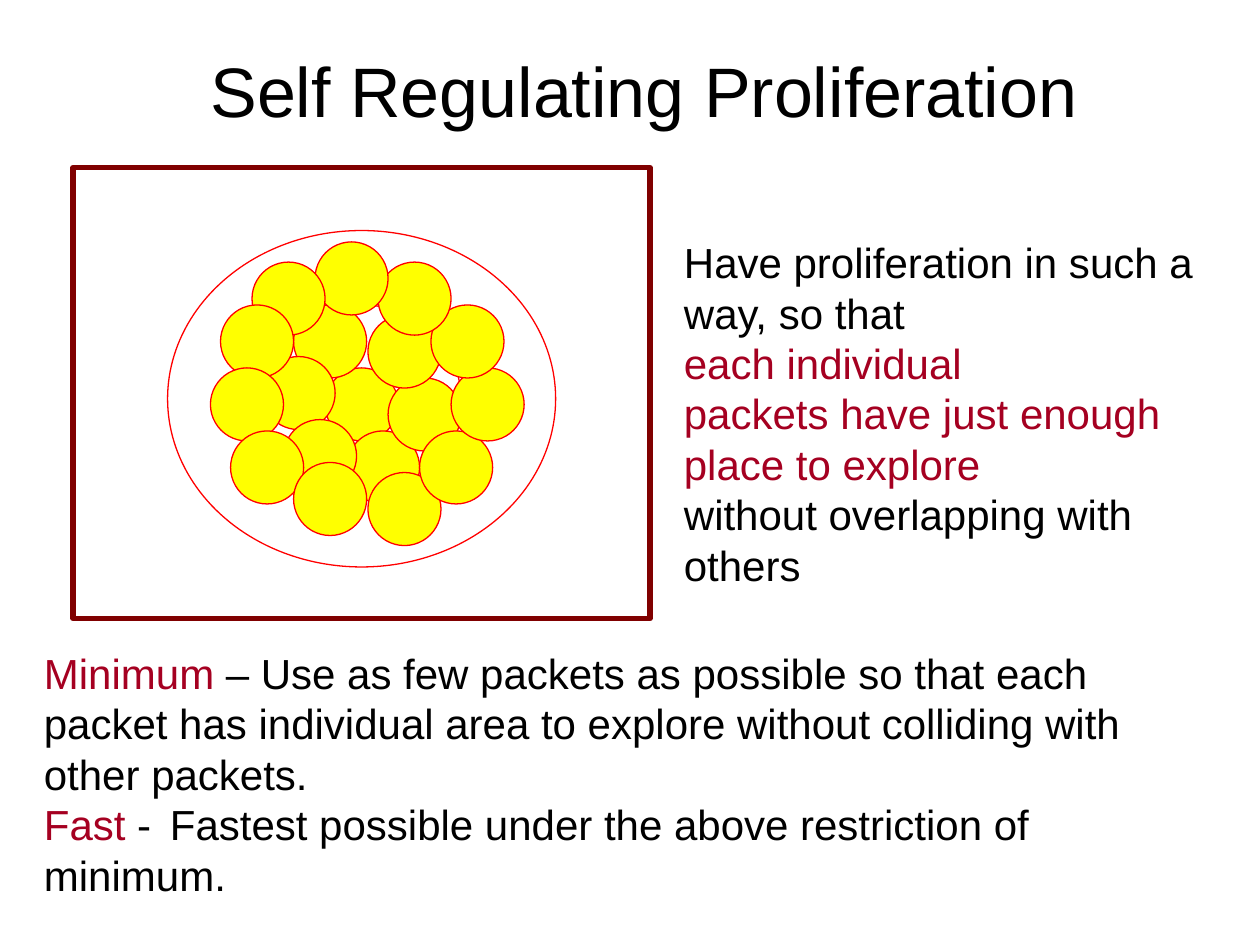
"""Build the slide on self regulating proliferation of packets."""
from dataclasses import dataclass

from pptx import Presentation
from pptx.dml.color import RGBColor
from pptx.enum.shapes import MSO_SHAPE
from pptx.enum.text import MSO_ANCHOR, MSO_AUTO_SIZE, PP_ALIGN
from pptx.util import Inches, Pt


@dataclass(frozen=True)
class Theme:
    font: str = "Arial"
    head: Pt = Pt(40)
    lead: Pt = Pt(33.2)
    body: Pt = Pt(24)
    ink: RGBColor = RGBColor(0, 0, 0)
    key: RGBColor = RGBColor(0xA5, 0x00, 0x21)
    frame: RGBColor = RGBColor(0x80, 0x00, 0x00)
    ring: RGBColor = RGBColor(0xFF, 0x00, 0x00)
    disc: RGBColor = RGBColor(0xFF, 0xFF, 0x00)


theme = Theme()


def add_form(shapes, kind, box, line, width, fill=None):
    form = shapes.add_shape(kind, *map(Inches, box))
    form.shadow.inherit = False
    if fill is None:
        form.fill.background()
    else:
        form.fill.solid()
        form.fill.fore_color.rgb = fill
    form.line.color.rgb = line
    form.line.width = Pt(width)


def add_run(para, text, size, color):
    run = para.add_run()
    run.text = text
    run.font.name = theme.font
    run.font.size = size
    run.font.color.rgb = color


deck = Presentation()
deck.slide_width, deck.slide_height = Inches(10), Inches(7.5)
slide = deck.slides.add_slide(deck.slide_layouts[5])

title = slide.shapes.title
title.left, title.top = Inches(1.67), Inches(0.58)
title.width, title.height = Inches(6.88), Inches(0.46)
frame = title.text_frame
frame.margin_left = frame.margin_right = 0
frame.margin_top = frame.margin_bottom = 0
frame.word_wrap = False
frame.auto_size = MSO_AUTO_SIZE.SHAPE_TO_FIT_TEXT
frame.vertical_anchor = MSO_ANCHOR.TOP
para = frame.paragraphs[0]
para.alignment = PP_ALIGN.LEFT
para.line_spacing = theme.lead
add_run(para, "Self Regulating Proliferation", theme.head, theme.ink)

add_form(slide.shapes, MSO_SHAPE.RECTANGLE, (0.58, 1.33, 4.58, 3.58), theme.frame, 3)
for box in ((2.08, 2.42, 1.58, 1.5), (1.33, 1.83, 3.08, 2.67)):
    add_form(slide.shapes, MSO_SHAPE.OVAL, box, theme.ring, 0.75)

size = 0.58
core = [(2.58, 2.92)]
inner = [(2.75, 3.42), (3.08, 3), (2.92, 2.5), (2.33, 2.42), (2.08, 2.83),
         (2.25, 3.33)]
outer = [(2.92, 3.75), (3.33, 3.42), (3.58, 2.92), (3.42, 2.42), (3, 2.08),
         (2.5, 1.92), (2, 2.08), (1.75, 2.42), (1.67, 2.92), (1.83, 3.42),
         (2.33, 3.67)]
for spots in (core, inner, outer):
    home = slide.shapes
    if len(spots) > 1:
        home = home.add_group_shape().shapes
    for left, top in spots:
        add_form(home, MSO_SHAPE.OVAL, (left, top, size, size), theme.ring, 0.75, theme.disc)

goal = [
    [("Have proliferation in such a way, so that", theme.ink)],
    [("each individual", theme.key)],
    [("packets have just enough place to explore", theme.key)],
    [("without overlapping with others", theme.ink)],
]
rules = [
    [("Minimum", theme.key),
     (" – Use as few packets as possible so that each", theme.ink)],
    [("packet has individual area to explore without colliding with other packets.",
      theme.ink)],
    [("Fast", theme.key),
     (" -\tFastest possible under the above restriction of", theme.ink)],
    [("minimum.", theme.ink)],
]
for box, lines in (((5.33, 1.83, 4.5, 2.9), goal), ((0.25, 5.09, 9.42, 2.1), rules)):
    frame = slide.shapes.add_textbox(*map(Inches, box)).text_frame
    frame.word_wrap = True
    frame.auto_size = MSO_AUTO_SIZE.SHAPE_TO_FIT_TEXT
    for index, parts in enumerate(lines):
        para = frame.add_paragraph() if index else frame.paragraphs[0]
        for text, color in parts:
            add_run(para, text, theme.body, color)

deck.save("out.pptx")
